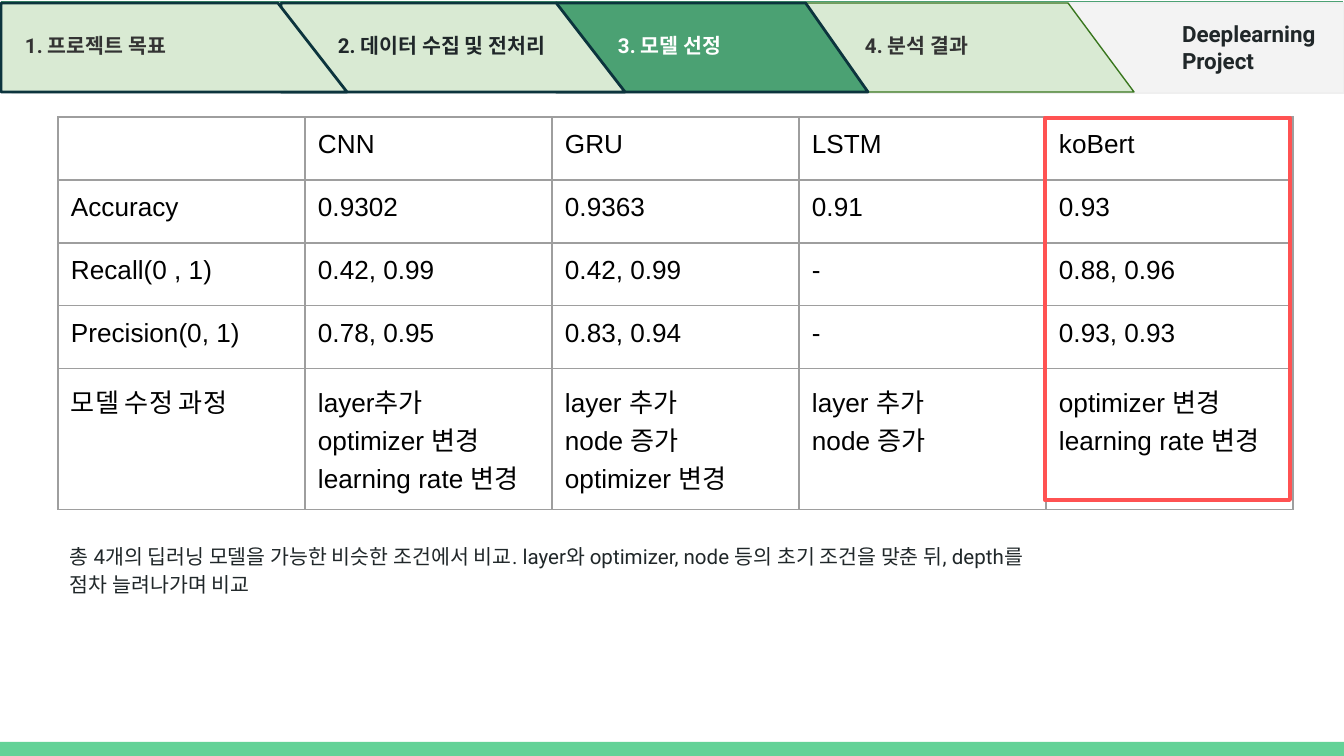
from pptx import Presentation, util as u
from pptx.dml.color import RGBColor
from pptx.enum import shapes, text
from pptx.oxml import parse_xml
from pptx.oxml.ns import nsdecls

PX = 914400 / 134.4
WHITE = RGBColor(0xFF, 0xFF, 0xFF)
BLACK = RGBColor(0, 0, 0)
INK = RGBColor(0x20, 0x27, 0x29)
GRAY_INK = RGBColor(0x33, 0x33, 0x33)
MINT = RGBColor(0x63, 0xD2, 0x97)
GREEN = RGBColor(0x4B, 0xA1, 0x73)
PALE_GREEN = RGBColor(0xD9, 0xEA, 0xD3)
LEAF = RGBColor(0x38, 0x76, 0x1D)
NAVY = RGBColor(0x0C, 0x34, 0x3D)
LIGHT_GRAY = RGBColor(0xF3, 0xF3, 0xF3)
EDGE_GRAY = RGBColor(0xEF, 0xEF, 0xEF)
RED = RGBColor(0xFF, 0x52, 0x52)
GRID = "9E9E9E"
MARGIN = 13


def add_box(kind, left, top, width, height, fill, line, line_width=0.75):
    shape = slide.shapes.add_shape(kind, *[round(n * PX) for n in (left, top, width, height)])
    shape.shadow.inherit = False
    if fill is None:
        shape.fill.background()
    else:
        shape.fill.solid()
        shape.fill.fore_color.rgb = fill
    if line is None:
        shape.line.fill.background()
    else:
        shape.line.color.rgb = line
        shape.line.width = u.Pt(line_width)
    return shape


def add_label(words, left, top, width, height, size, color, bold=True):
    box = slide.shapes.add_textbox(*[round(n * PX) for n in (left, top, width, height)])
    frame = box.text_frame
    frame.word_wrap = True
    frame.auto_size = text.MSO_AUTO_SIZE.SHAPE_TO_FIT_TEXT
    frame.margin_left = frame.margin_right = round(MARGIN * PX)
    frame.margin_top = frame.margin_bottom = round(MARGIN * PX)
    frame.text = words
    for paragraph in frame.paragraphs:
        for run in paragraph.runs:
            run.font.name = "Roboto"
            run.font.size = u.Pt(size)
            run.font.bold = bold
            run.font.color.rgb = color
    return frame


presentation = Presentation()
presentation.slide_width = round(1344 * PX)
presentation.slide_height = round(756 * PX)
slide = presentation.slides.add_slide(presentation.slide_layouts[6])

RECTANGLE = shapes.MSO_SHAPE.RECTANGLE
add_box(RECTANGLE, 0, 742, 1344, 14, MINT, None)

rows = [
    ["", "CNN", "GRU", "LSTM", "koBert"],
    ["Accuracy", "0.9302", "0.9363", "0.91", "0.93"],
    ["Recall(0 , 1)", "0.42, 0.99", "0.42, 0.99", "-", "0.88, 0.96"],
    ["Precision(0, 1)", "0.78, 0.95", "0.83, 0.94", "-", "0.93, 0.93"],
    [
        "모델 수정 과정",
        "layer추가\noptimizer 변경\nlearning rate 변경",
        "layer 추가\nnode 증가\noptimizer 변경",
        "layer 추가\nnode 증가",
        "optimizer 변경\nlearning rate 변경",
    ],
]
row_heights = [63, 63, 63, 63, 132]
column_width = 247
table = slide.shapes.add_table(
    len(rows), len(rows[0]), round(58 * PX), round(117 * PX),
    round(column_width * len(rows[0]) * PX), round(sum(row_heights) * PX),
).table
table.first_row = False
table.horz_banding = False
for column in table.columns:
    column.width = round(column_width * PX)
for row, height, values in zip(table.rows, row_heights, rows):
    row.height = round(height * PX)
    for cell, value in zip(row.cells, values):
        cell.margin_left = cell.margin_right = round(MARGIN * PX)
        cell.margin_top = cell.margin_bottom = round(MARGIN * PX)
        cell.text_frame.text = value
        for paragraph in cell.text_frame.paragraphs:
            paragraph._p.get_or_add_endParaRPr().set("sz", "1400")
            for run in paragraph.runs:
                run.font.name = "Arial"
                run.font.size = u.Pt(14)
                run.font.color.rgb = BLACK
        properties = cell._tc.get_or_add_tcPr()
        for side in ("lnL", "lnR", "lnT", "lnB"):
            properties.append(parse_xml(
                f'<a:{side} {nsdecls("a")} w="9525"><a:solidFill>'
                f'<a:srgbClr val="{GRID}"/></a:solidFill></a:{side}>'
            ))
        cell.fill.background()

add_box(RECTANGLE, 0, 0, 1344, 9, GREEN, WHITE)
add_box(RECTANGLE, 12, 3, 1332, 90, LIGHT_GRAY, EDGE_GRAY)

tab_height = 89
tabs = [
    (804, 330, PALE_GREEN, LEAF, 0.75),
    (556, 312, GREEN, NAVY, 1.5),
    (281, 344, PALE_GREEN, NAVY, 1.5),
    (1, 346, PALE_GREEN, NAVY, 1.5),
]
for left, length, fill, line, line_width in tabs:
    tab = add_box(
        shapes.MSO_SHAPE.FLOWCHART_MANUAL_INPUT,
        left + (length - tab_height) / 2, 3 - (length - tab_height) / 2,
        tab_height, length, fill, line, line_width,
    )
    tab.rotation = 90

tab_labels = [
    ("1. 프로젝트 목표", 12, GRAY_INK),
    ("2. 데이터 수집 및 전처리", 325, INK),
    ("3. 모델 선정", 605, WHITE),
    ("4. 분석 결과", 852, GRAY_INK),
]
for words, left, color in tab_labels:
    add_label(words, left, 21, 469, 52, 11, color)
add_label("Deeplearning\nProject", 1169, 7, 237, 82, 12, INK)

summary = add_label(
    "총 4개의 딥러닝 모델을 가능한 비슷한 조건에서 비교. layer와 optimizer, node 등의 "
    "초기 조건을 맞춘 뒤, depth를 점차 늘려나가며 비교",
    57, 527, 1015, 81, 11, INK, bold=False,
)
summary.paragraphs[0].line_spacing = 1.15
summary.paragraphs[0].space_after = u.Pt(12)

add_box(RECTANGLE, 1045, 118, 245, 382, None, RED, 2.25)

presentation.save("out.pptx")
